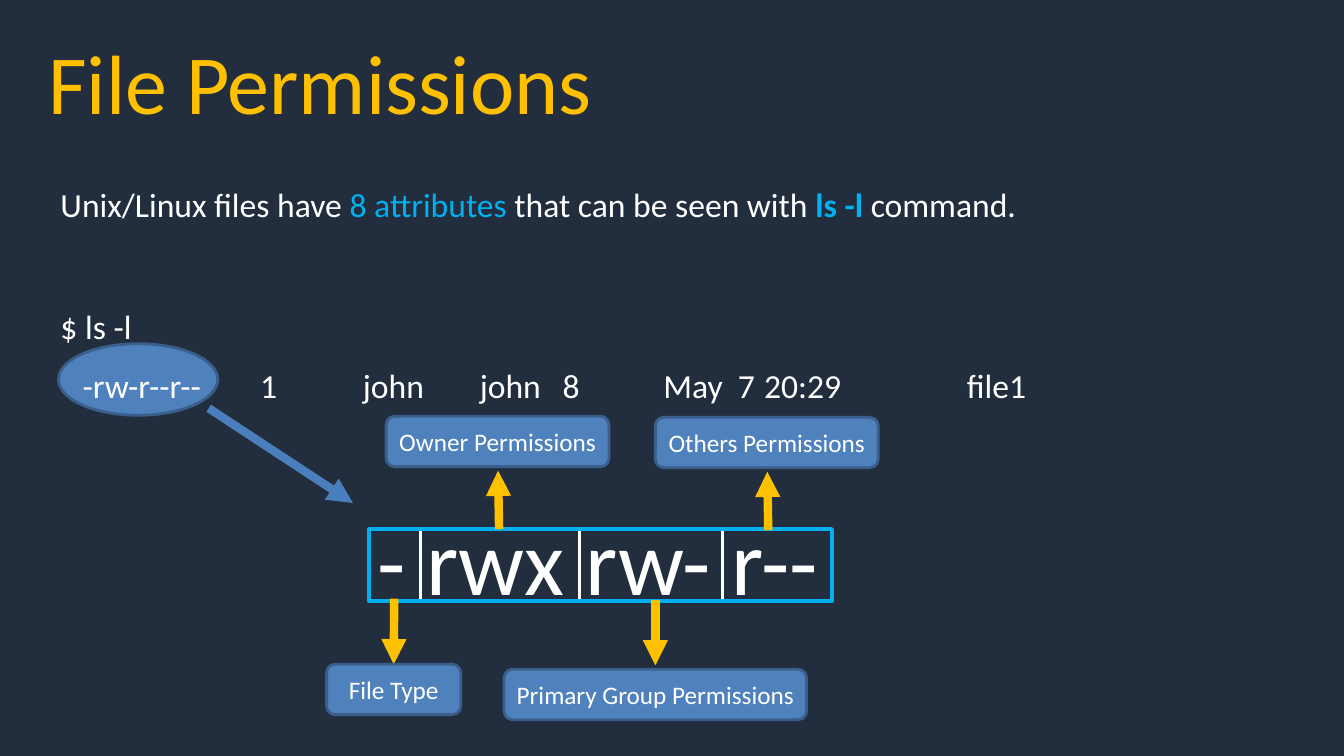
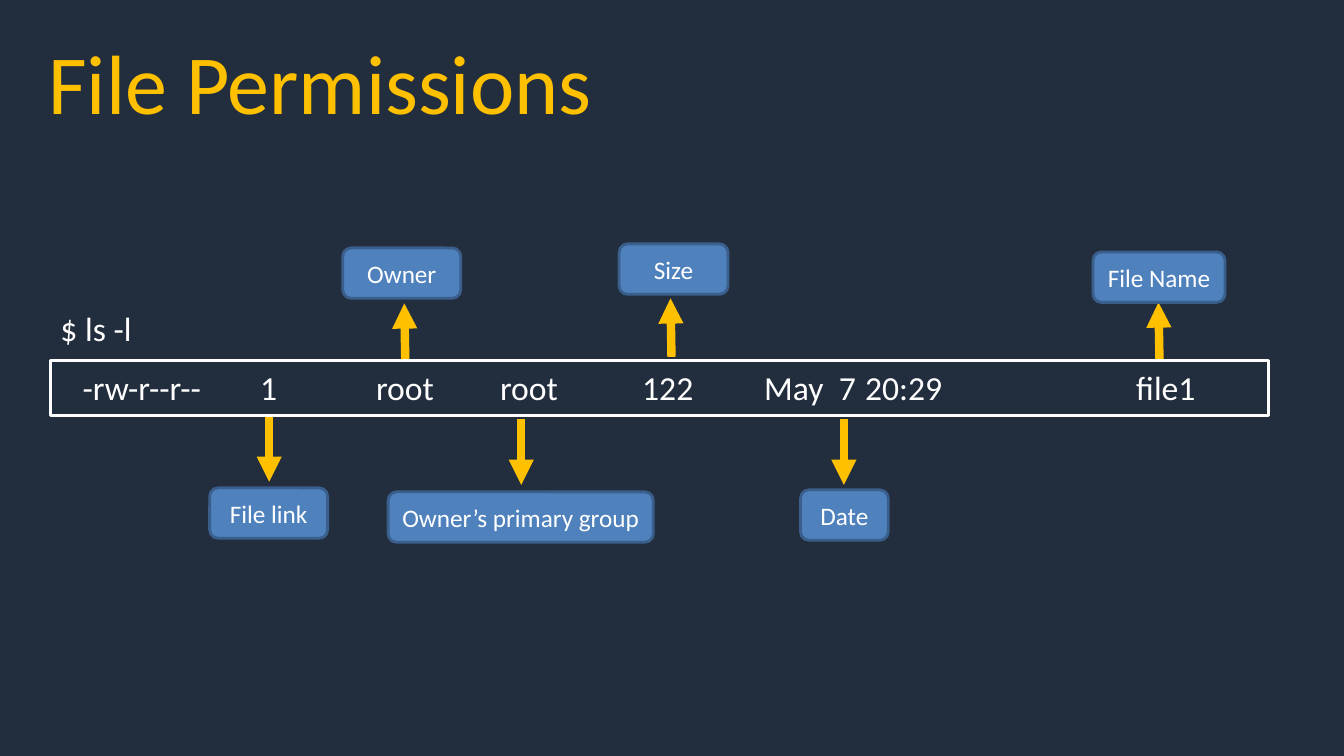
from lxml.etree import SubElement
from pptx import Presentation
from pptx.dml.color import RGBColor
from pptx.enum.shapes import MSO_CONNECTOR, MSO_SHAPE
from pptx.enum.text import MSO_ANCHOR, MSO_AUTO_SIZE, PP_ALIGN
from pptx.oxml.ns import qn
from pptx.util import Inches, Pt

NAVY = RGBColor(0x22, 0x2E, 0x3D)
GOLD = RGBColor(0xFF, 0xC0, 0x00)
CYAN = RGBColor(0x00, 0xB0, 0xF0)
WHITE = RGBColor(0xFF, 0xFF, 0xFF)
BLUE = RGBColor(0x4F, 0x81, 0xBD)
BLUE_EDGE = RGBColor(0x3A, 0x5F, 0x8C)
BLUE_ARROW = RGBColor(0x4B, 0x7E, 0xBC)
FONT = "Calibri"
PLAIN_TABLE_STYLE = "{2D5ABB26-0587-4C30-8999-92F81FD0307C}"

TITLE = "File Permissions"
BODY_LEFT, BODY_WIDTH = 0.5, 12.67
LISTING_HEIGHT, LAST_FIELD_WIDTH = 0.41, 1
LABEL_HEIGHT = 0.5
UP_LENGTH, DOWN_LENGTH = 0.58, 0.65

# A run is (text, colour, bold)
INTRO = [
    ("Unix/Linux files have ", WHITE, False),
    ("8 attributes ", CYAN, False),
    ("that can be seen with ", WHITE, False),
    ("ls -l ", CYAN, True),
    ("command.", WHITE, False),
]
COMMAND = [("$ ls -l", WHITE, False)]

# Listing fields: (left edge on the slide, text)
JOHN_FILE = [(0.82, "-rw-r--r--"), (2.58, "1"), (3.6, "john"), (4.76, "john"),
             (5.58, "8"), (6.58, "May  7"), (7.58, "20:29"), (9.59, "file1")]
ROOT_FILE = [(0.82, "-rw-r--r--"), (2.58, "1"), (3.73, "root"), (4.96, "root"),
             (6.37, "122"), (7.58, "May  7"), (8.58, "20:29"), (11.27, "file1")]

# Callouts: (label, left, top, width, arrow x, arrow start y)
PERMISSION_CALLOUTS = [
    ("File Type", 3.24, 6.59, 1.33, 3.91, 5.94),
    ("Owner Permissions", 3.83, 4.13, 2.21, 4.95, 5.25),
    ("Primary Group Permissions", 5, 6.64, 3, 6.5, 5.95),
    ("Others Permissions", 6.5, 4.14, 2.21, 7.62, 5.26),
]
FIELD_CALLOUTS = [
    ("File link", 2.08, 4.84, 1.17, 2.67, 4.13),
    ("Owner’s primary group", 3.85, 4.88, 2.63, 5.17, 4.16),
    ("Owner", 3.4, 2.46, 1.17, 4.02, 3.59),
    ("Size", 6.14, 2.42, 1.08, 6.66, 3.54),
    ("Date", 7.94, 4.86, 0.87, 8.37, 4.16),
    ("File Name", 10.84, 2.5, 1.31, 11.5, 3.58),
]

# Permission string: frame and the left and width of its inner cells
MODE_TEXT = "- rwx rw- r--"
MODE_LEFT, MODE_TOP, MODE_WIDTH, MODE_HEIGHT = 3.66, 5.25, 4.59, 0.71
MODE_CELLS = [(3.66, 0.51), (5.75, 1.42)]


def add_run(p, text, size, color=WHITE, bold=False):
    r = p.add_run()
    r.text = text
    r.font.name = FONT
    r.font.size = Pt(size)
    r.font.bold = bold
    r.font.color.rgb = color


def place(shape, left, top, width, height):
    shape.left, shape.top = Inches(left), Inches(top)
    shape.width, shape.height = Inches(width), Inches(height)


def top_frame(shape):
    """Return the shape's text frame, wrapped and anchored at the top."""
    tf = shape.text_frame
    tf.word_wrap = True
    tf.auto_size = MSO_AUTO_SIZE.NONE
    tf.vertical_anchor = MSO_ANCHOR.TOP
    return tf


def add_slide(prs):
    s = prs.slides.add_slide(prs.slide_layouts[1])
    place(s.shapes.title, 0, 0.25, 13.33, 1.11)
    tf = top_frame(s.shapes.title)
    tf.margin_left = Inches(0.48)
    p = tf.paragraphs[0]
    p.alignment = PP_ALIGN.LEFT
    add_run(p, TITLE, 60, GOLD)
    return s


def fill_body(s, top, height, lines):
    body = s.placeholders[1]
    place(body, BODY_LEFT, top, BODY_WIDTH, height)
    tf = top_frame(body)
    for i, runs in enumerate(lines):
        p = tf.paragraphs[0] if i == 0 else tf.add_paragraph()
        p.line_spacing = 1.5
        p.space_before = Pt(44 if i else 0)
        pPr = p._p.get_or_add_pPr()
        pPr.set("marL", "0")
        pPr.set("indent", "0")
        SubElement(pPr, qn("a:buNone"))
        for text, color, bold in runs:
            add_run(p, text, 24, color, bold)


def add_listing(s, top, fields):
    """Add the file's line as a plain table, one column per field."""
    edges = [left for left, _ in fields]
    edges.append(edges[-1] + LAST_FIELD_WIDTH)
    frame = s.shapes.add_table(1, len(fields), Inches(edges[0]), Inches(top),
                               Inches(edges[-1] - edges[0]),
                               Inches(LISTING_HEIGHT))
    table = frame.table
    table.first_row = table.horz_banding = False
    style = table._tbl.tblPr.find(qn("a:tableStyleId"))
    style.text = PLAIN_TABLE_STYLE
    for i, (left, text) in enumerate(fields):
        table.columns[i].width = Inches(edges[i + 1] - left)
        cell = table.cell(0, i)
        cell.fill.background()
        cell.margin_left = cell.margin_right = 0
        cell.margin_top = cell.margin_bottom = 0
        add_run(cell.text_frame.paragraphs[0], text, 24)


def add_box(s, kind, left, top, width, height, edge, weight=2, fill=None):
    box = s.shapes.add_shape(kind, Inches(left), Inches(top),
                             Inches(width), Inches(height))
    box.shadow.inherit = False
    if fill is None:
        box.fill.background()
    else:
        box.fill.solid()
        box.fill.fore_color.rgb = fill
    box.line.color.rgb = edge
    box.line.width = Pt(weight)
    return box


def add_arrow(s, x1, y1, x2, y2, color=GOLD):
    arrow = s.shapes.add_connector(MSO_CONNECTOR.STRAIGHT, Inches(x1),
                                   Inches(y1), Inches(x2), Inches(y2))
    arrow.line.color.rgb = color
    arrow.line.width = Pt(6)
    SubElement(arrow.line._get_or_add_ln(), qn("a:tailEnd"), type="triangle")
    SubElement(arrow._element.spPr, qn("a:effectLst"))
    return arrow


def add_callout(s, label, left, top, width, x, start):
    """Add a label and the arrow that runs up or down to it."""
    down = top > start
    tip = start + DOWN_LENGTH if down else start - UP_LENGTH
    arrow = add_arrow(s, x, start, x if down else x - 0.01, tip)
    box = add_box(s, MSO_SHAPE.ROUNDED_RECTANGLE, left, top, width,
                  LABEL_HEIGHT, BLUE_EDGE, fill=BLUE)
    tf = box.text_frame
    tf.word_wrap = False
    tf.vertical_anchor = MSO_ANCHOR.MIDDLE
    p = tf.paragraphs[0]
    p.alignment = PP_ALIGN.CENTER
    add_run(p, label, 18)
    if down and abs(tip - top) < 0.01:
        arrow.end_connect(box, 0)


def add_mode_string(s):
    for left, width in MODE_CELLS:
        add_box(s, MSO_SHAPE.RECTANGLE, left, MODE_TOP, width, MODE_HEIGHT, WHITE)
    text_box = s.shapes.add_textbox(Inches(3.58), Inches(4.94),
                                    Inches(4.93), Inches(1.21))
    tf = top_frame(text_box)
    tf.margin_left = Inches(0.16)
    add_run(tf.paragraphs[0], MODE_TEXT, 66)
    add_box(s, MSO_SHAPE.RECTANGLE, MODE_LEFT, MODE_TOP, MODE_WIDTH,
            MODE_HEIGHT, CYAN, 3)


def build_permissions(prs):
    s = add_slide(prs)
    fill_body(s, 1.57, 1.9, [INTRO, COMMAND])
    add_box(s, MSO_SHAPE.OVAL, 0.58, 3.41, 1.58, 0.71, BLUE_EDGE, fill=BLUE)
    add_listing(s, 3.64, JOHN_FILE)
    add_arrow(s, 2.07, 4.05, 3.5, 4.99, BLUE_ARROW)
    add_mode_string(s)
    for callout in PERMISSION_CALLOUTS:
        add_callout(s, *callout)


def build_fields(prs):
    s = add_slide(prs)
    fill_body(s, 2.8, 0.75, [COMMAND])
    for callout in FIELD_CALLOUTS:
        add_callout(s, *callout)
    add_listing(s, 3.66, ROOT_FILE)
    add_box(s, MSO_SHAPE.RECTANGLE, 0.5, 3.58, 12.08, 0.54, WHITE)


def main():
    prs = Presentation()
    prs.slide_width, prs.slide_height = Inches(13.33), Inches(7.5)
    background = prs.slide_master.background.fill
    background.solid()
    background.fore_color.rgb = NAVY
    build_permissions(prs)
    build_fields(prs)
    prs.save("out.pptx")


if __name__ == "__main__":
    main()
